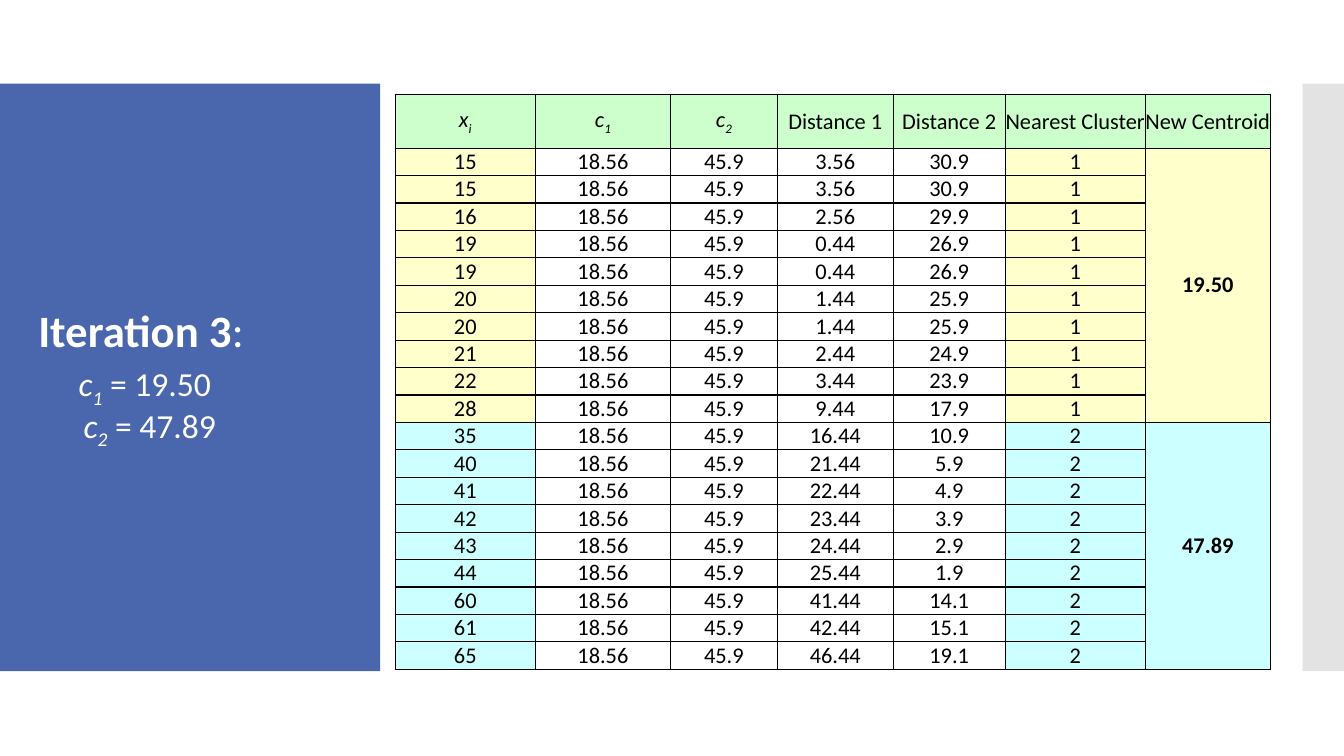
from dataclasses import dataclass
from itertools import groupby

from lxml.etree import SubElement
from pptx import Presentation
from pptx.dml.color import RGBColor
from pptx.enum.shapes import MSO_SHAPE as Shape
from pptx.enum.text import MSO_ANCHOR as Anchor, MSO_AUTO_SIZE as AutoSize, PP_ALIGN as Align
from pptx.oxml.ns import qn
from pptx.util import Inches, Pt


@dataclass(frozen=True)
class Theme:
    font: str = "Calibri"
    panel: str = "4A66AC"
    strip: str = "C8C8C8"
    light: str = "FFFFFF"
    ink: str = "000000"
    header: str = "CCFFCC"
    first_cluster: str = "FFFFCC"
    second_cluster: str = "CCFFFF"
    heading_size: int = 32
    centroid_size: int = 24
    cell_size: int = 16
    border: int = 1


THEME = Theme()
OLD_CENTROIDS = (18.56, 45.9)
NEW_CENTROIDS = ("19.50", "47.89")
POINTS = (15, 15, 16, 19, 19, 20, 20, 21, 22, 28, 35, 40, 41, 42, 43, 44, 60, 61, 65)
HEADERS = (("x", "i"), ("c", "1"), ("c", "2"), "Distance 1", "Distance 2",
           "Nearest Cluster", "New Centroid")
COLUMN_WIDTHS = (1.39, 1.34, 1.06, 1.15, 1.11, 1.39, 1.24)
HEADER_HEIGHT, ROW_HEIGHT = 0.53, 0.27


def style(font, size, color):
    font.name = THEME.font
    font.size = Pt(size)
    font.color.rgb = RGBColor.from_string(color)


def add_run(paragraph, text, bold=None, italic=None, subscript=False):
    run = paragraph.add_run()
    run.text = text
    run.font.bold = bold
    run.font.italic = italic
    if subscript:
        run.font._element.set("baseline", "-25000")


def add_symbol(paragraph, letter, index):
    add_run(paragraph, letter, italic=True)
    add_run(paragraph, index, italic=True, subscript=True)


def add_panel(slide, left, top, width, height, color, alpha=None):
    panel = slide.shapes.add_shape(
        Shape.RECTANGLE, Inches(left), Inches(top), Inches(width), Inches(height))
    panel.shadow.inherit = False
    panel.line.fill.background()
    panel.fill.solid()
    panel.fill.fore_color.rgb = RGBColor.from_string(color)
    if alpha:
        fill_color = panel._element.spPr.find(qn("a:solidFill"))[0]
        SubElement(fill_color, qn("a:alpha"), val=str(alpha * 1000))


def add_heading(slide, left, top, width, height):
    heading = slide.shapes.title
    slide.shapes._spTree.append(heading._element)
    heading.left, heading.top = Inches(left), Inches(top)
    heading.width, heading.height = Inches(width), Inches(height)
    frame = heading.text_frame
    frame.auto_size = AutoSize.NONE
    frame.word_wrap = True
    frame.vertical_anchor = Anchor.MIDDLE

    iteration = frame.paragraphs[0]
    add_run(iteration, "Iteration 3", bold=True)
    add_run(iteration, ":")
    style(iteration.font, THEME.heading_size, THEME.light)

    for index, (value, indent, gap) in enumerate(zip(NEW_CENTROIDS, (0.4, 0.45), (5, 0)), 1):
        centroid = frame.add_paragraph()
        add_symbol(centroid, "c", str(index))
        add_run(centroid, f"\u00a0= {value}".replace("\u00a0", " "))
        centroid._p.get_or_add_pPr().set("marL", str(Inches(indent)))
        centroid.space_before = Pt(gap)
        style(centroid.font, THEME.centroid_size, THEME.light)

    for paragraph in frame.paragraphs:
        paragraph.alignment = Align.LEFT
        paragraph.line_spacing = 0.9


def draw_borders(cell):
    properties = cell._tc.get_or_add_tcPr()
    for position, side in enumerate(("a:lnL", "a:lnR", "a:lnT", "a:lnB")):
        line = SubElement(properties, qn(side), w=str(Pt(THEME.border)))
        fill = SubElement(line, qn("a:solidFill"))
        SubElement(fill, qn("a:srgbClr"), val=THEME.ink)
        properties.insert(position, line)


def fill_cell(cell, content, color=None, bold=None):
    cell.margin_left = cell.margin_right = cell.margin_top = cell.margin_bottom = 0
    cell.vertical_anchor = Anchor.MIDDLE
    if color:
        cell.fill.solid()
        cell.fill.fore_color.rgb = RGBColor.from_string(color)
    else:
        cell.fill.background()
    draw_borders(cell)
    paragraph = cell.text_frame.paragraphs[0]
    paragraph.alignment = Align.CENTER
    if isinstance(content, tuple):
        add_symbol(paragraph, *content)
    elif content:
        add_run(paragraph, content, bold=bold)
    style(paragraph.font, THEME.cell_size, THEME.ink)


def cluster_row(point):
    first, second = OLD_CENTROIDS
    to_first, to_second = abs(point - first), abs(point - second)
    nearest = 1 if to_first < to_second else 2
    return (str(point), f"{first:.2f}", f"{second:.1f}",
            f"{to_first:.2f}", f"{to_second:.1f}", str(nearest))


def add_distances(slide, left, top):
    rows = [cluster_row(point) for point in POINTS]
    height = HEADER_HEIGHT + ROW_HEIGHT * len(rows)
    distances = slide.shapes.add_table(
        len(rows) + 1, len(HEADERS), Inches(left), Inches(top),
        Inches(sum(COLUMN_WIDTHS)), Inches(height)).table
    distances.first_row = distances.horz_banding = False
    for column, width in zip(distances.columns, COLUMN_WIDTHS):
        column.width = Inches(width)
    for number, row in enumerate(distances.rows):
        row.height = Inches(ROW_HEIGHT if number else HEADER_HEIGHT)
    for column, header in enumerate(HEADERS):
        fill_cell(distances.cell(0, column), header, THEME.header)

    cluster_colors = {"1": THEME.first_cluster, "2": THEME.second_cluster}
    last = len(HEADERS) - 1
    start = 1
    for nearest, members in groupby(rows, key=lambda row: row[-1]):
        color = cluster_colors[nearest]
        members = list(members)
        for number, values in enumerate(members, start):
            for column, value in enumerate(values):
                tint = color if column in (0, last - 1) else None
                fill_cell(distances.cell(number, column), value, tint)
            centroid = NEW_CENTROIDS[int(nearest) - 1] if number == start else ""
            fill_cell(distances.cell(number, last), centroid, color, bold=True)
        end = start + len(members)
        distances.cell(start, last).merge(distances.cell(end - 1, last))
        start = end


def main():
    deck = Presentation()
    deck.slide_width, deck.slide_height = Inches(13.33), Inches(7.5)
    slide = deck.slides.add_slide(deck.slide_layouts[5])
    add_panel(slide, 0, 0.83, 3.77, 5.83, THEME.panel)
    add_panel(slide, 12.92, 0.83, 0.41, 5.83, THEME.strip, alpha=50)
    add_heading(slide, 0.28, 1.23, 3.22, 5.03)
    add_distances(slide, 3.92, 0.94)
    deck.save("out.pptx")


if __name__ == "__main__":
    main()
